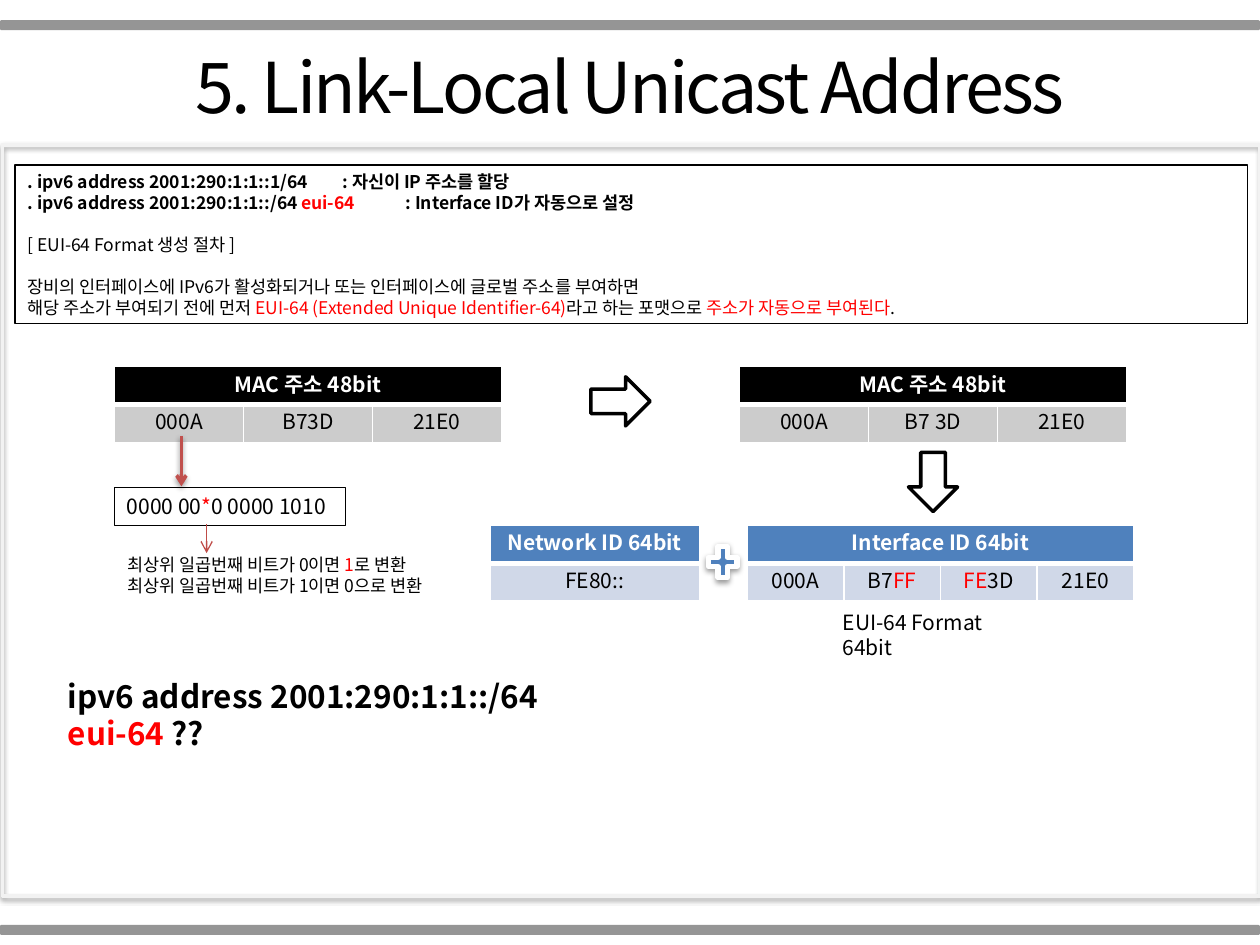
from pptx import Presentation
from pptx.dml.color import RGBColor
from pptx.enum.shapes import MSO_CONNECTOR, MSO_SHAPE
from pptx.enum.text import MSO_ANCHOR, PP_ALIGN
from pptx.oxml import parse_xml
from pptx.oxml.ns import nsdecls, qn
from pptx.util import Inches, Pt

BLACK = RGBColor(0x00, 0x00, 0x00)
WHITE = RGBColor(0xFF, 0xFF, 0xFF)
RED = RGBColor(0xFF, 0x00, 0x00)
BAR_GRAY = RGBColor(0x80, 0x80, 0x80)
FRAME_GRAY = RGBColor(0xF2, 0xF2, 0xF2)
CELL_GRAY = RGBColor(0xCC, 0xCC, 0xCC)
BLUE = RGBColor(0x4F, 0x81, 0xBD)
PALE_BLUE = RGBColor(0xD0, 0xD8, 0xE8)
BRICK = RGBColor(0xC0, 0x50, 0x4D)
DARK_BRICK = RGBColor(0xBF, 0x4C, 0x48)

RECTANGLE, ROUNDED = MSO_SHAPE.RECTANGLE, MSO_SHAPE.ROUNDED_RECTANGLE
RIGHT_ARROW, PLUS = MSO_SHAPE.RIGHT_ARROW, MSO_SHAPE.MATH_PLUS
STRAIGHT = MSO_CONNECTOR.STRAIGHT
LEFT, CENTER, TOP = PP_ALIGN.LEFT, PP_ALIGN.CENTER, MSO_ANCHOR.TOP
FONT = "Noto Sans CJK KR"


def write(frame, lines, size, color=BLACK, bold=False, align=LEFT):
    """Fill a frame; a line is a list of (text, format changes), "\n" a line break."""
    for index, line in enumerate(lines):
        para = frame.paragraphs[0] if index == 0 else frame.add_paragraph()
        para.alignment = align
        para.line_spacing = Pt(size * 1.2)
        para.font.size = Pt(size)
        for text, changes in line:
            if text == "\n":
                para.add_line_break()
                continue
            span = para.add_run()
            span.text = text
            look = {"name": FONT, "size": Pt(size), "bold": bold, **changes}
            span.font.color.rgb = look.pop("color", color)
            for name, value in look.items():
                setattr(span.font, name, value)
            span.font._element.append(parse_xml(f'<a:ea {nsdecls("a")} typeface="{FONT}"/>'))


def add_box(kind, place, fill=None, line=None, width=1):
    """Add a preset shape with its own fill and line and no shadow."""
    box = page.shapes.add_shape(kind, *map(Inches, place))
    box.shadow.inherit = False
    for part, color in ((box.fill, fill), (box.line.fill, line)):
        if color is None:
            part.background()
        else:
            part.solid()
            part.fore_color.rgb = color
    if line is not None:
        box.line.width = Pt(width)
    box.text_frame.word_wrap = True
    box.text_frame.vertical_anchor = TOP
    return box


deck = Presentation()
deck.slide_width, deck.slide_height = Inches(10), Inches(7.5)
page = deck.slides.add_slide(deck.slide_layouts[6])
red = {"color": RED}

# Title
title = add_box(RECTANGLE, (0, 0.3, 10, 0.76))
write(title.text_frame, [[("5. Link-Local Unicast Address", {})]], 40, align=CENTER)
title.text_frame.paragraphs[0].runs[0].font._element.set("spc", "-150")

# Bars at the top and bottom edges
for top in (0.16, 7.34):
    bar = add_box(ROUNDED, (0, top, 10, 0.08), BAR_GRAY)
    shade = bar._element.spPr.find(qn("a:solidFill"))[0]
    shade.append(parse_xml(f'<a:alpha {nsdecls("a")} val="83000"/>'))

# Content frame and explanation
content_frame = add_box(RECTANGLE, (0.02, 1.15, 9.98, 5.96), line=FRAME_GRAY, width=2)
explanation = add_box(RECTANGLE, (0.12, 1.31, 9.78, 1.26), line=BLACK, width=0.75)
plain = {"bold": False}
plain_red = {"bold": False, "color": RED}
write(explanation.text_frame, [
    [(". ipv6 address 2001:290:1:1::1/64\t: 자신이 IP 주소를 할당", {})],
    [(". ipv6 address 2001:290:1:1::/64 ", {}), ("eui-64", red),
     ("\t: Interface ID가 자동으로 설정", {})],
    [],
    [("[ EUI-64 Format 생성 절차 ]", plain)],
    [],
    [("장비의 인터페이스에 IPv6가 활성화되거나 또는 인터페이스에 글로벌 주소를 부여하면", plain)],
    [("해당 주소가 부여되기 전에 먼저 ", plain),
     ("EUI-64 (Extended Unique Identifier-64)", plain_red),
     ("라고 하는 포맷으로 ", plain), ("주소가 자동으로 부여된다", plain_red), (".", plain)],
], 10, bold=True)

# Address tables: left, top, width, heading, heading fill, cell fill, cells
tables = [
    (0.91, 2.91, 3.07, "MAC 주소 48bit", BLACK, CELL_GRAY,
     [[("000A", {})], [("B73D", {})], [("21E0", {})]]),
    (5.87, 2.91, 3.07, "MAC 주소 48bit", BLACK, CELL_GRAY,
     [[("000A", {})], [("B7 3D", {})], [("21E0", {})]]),
    (5.93, 4.17, 3.07, "Interface ID 64bit", BLUE, PALE_BLUE,
     [[("000A", {})], [("B7", {}), ("FF", red)], [("FE", red), ("3D", {})], [("21E0", {})]]),
    (3.89, 4.17, 1.66, "Network ID 64bit", BLUE, PALE_BLUE, [[("FE80::", {})]]),
]
for left, top, width, heading, head_fill, cell_fill, cells in tables:
    count = len(cells)
    table = page.shapes.add_table(
        2, count, Inches(left), Inches(top), Inches(width), Inches(0.6)).table
    if count > 1:
        table.cell(0, 0).merge(table.cell(0, count - 1))
    for row, fill in enumerate((head_fill, cell_fill)):
        for column in range(count):
            cell = table.cell(row, column)
            properties = cell._tc.get_or_add_tcPr()
            for side in "LRTB":
                # The rule between heading and values is thicker
                border = Pt(3 if side == "BT"[row] else 1)
                properties.append(parse_xml(
                    f'<a:ln{side} {nsdecls("a")} w="{border}"><a:solidFill>'
                    f'<a:srgbClr val="{WHITE}"/></a:solidFill></a:ln{side}>'))
            cell.fill.solid()
            cell.fill.fore_color.rgb = fill
            if row == 1:
                write(cell.text_frame, [cells[column]], 12, align=CENTER)
    write(table.cell(0, 0).text_frame, [[(heading, {})]], 12, WHITE, True, CENTER)

# Bits of the first MAC group and the flip rule
bits = add_box(RECTANGLE, (0.91, 3.87, 1.83, 0.3), line=BLACK, width=0.25)
write(bits.text_frame, [[("0000 00", {}), ("*", red), ("0 0000 1010", {})]], 12)
flip_rule = add_box(RECTANGLE, (0.91, 4.35, 2.82, 0.44))
write(flip_rule.text_frame, [
    [("최상위 일곱번째 비트가 0이면 ", {}), ("1", red), ("로 변환", {})],
    [("최상위 일곱번째 비트가 1이면 0으로 변환", {})],
], 10)

# Thin arrows down to the bits and the rule
thin_arrows = []
for x, top, bottom, color, width in ((1.44, 3.46, 3.86, BRICK, 2),
                                     (1.64, 4.16, 4.39, DARK_BRICK, 0.75)):
    arrow = page.shapes.add_connector(
        STRAIGHT, Inches(x), Inches(top), Inches(x), Inches(bottom))
    arrow.line.color.rgb = color
    arrow.line.width = Pt(width)
    properties = arrow._element.spPr
    properties.find(qn("a:ln")).append(
        parse_xml(f'<a:tailEnd {nsdecls("a")} type="arrow"/>'))
    properties.append(parse_xml(f'<a:effectLst {nsdecls("a")}/>'))
    thin_arrows.append(arrow)

# Block arrows between the tables
for left, top, turn in ((4.69, 2.99, 0), (7.17, 3.63, 90)):
    block_arrow = add_box(RIGHT_ARROW, (left, top, 0.47, 0.39), WHITE, BLACK, 2)
    block_arrow.rotation = turn

# Plus sign joining the two IDs
plus = add_box(PLUS, (5.58, 4.29, 0.31, 0.34), BLUE, WHITE, 3)

# Soft shadows
for shape in (content_frame, thin_arrows[0], plus):
    shape._element.spPr.find(qn("a:effectLst")).append(parse_xml(
        f'<a:outerShdw {nsdecls("a")} blurRad="{Pt(3.1)}" dist="{Pt(1.6)}" dir="5400000" '
        f'rotWithShape="0"><a:srgbClr val="{BLACK}"><a:alpha val="38000"/></a:srgbClr>'
        '</a:outerShdw>'))

# Format label and closing question
label = add_box(RECTANGLE, (6.59, 4.79, 1.74, 0.3))
write(label.text_frame, [[("EUI-64 Format", {}), ("\n", {}), ("64bit", {})]], 12)
question = add_box(RECTANGLE, (0.44, 5.32, 4.97, 0.39))
write(question.text_frame, [[("ipv6 address 2001:290:1:1::/64", {}), ("\n", {}),
                             ("eui-64 ", red), ("??", {})]], 18, bold=True)

deck.save("out.pptx")
